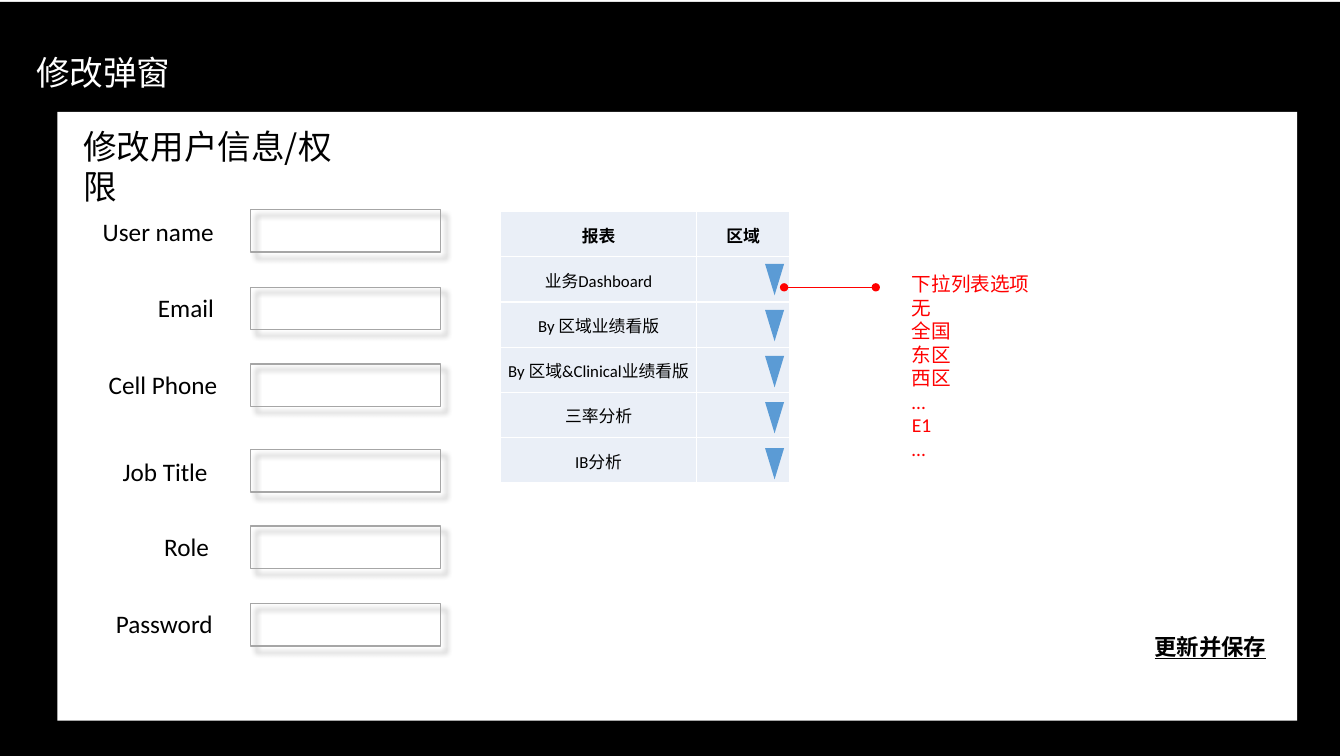
from lxml.etree import SubElement
from pptx import Presentation
from pptx.dml.color import RGBColor
from pptx.enum.shapes import MSO_CONNECTOR, MSO_SHAPE
from pptx.enum.text import MSO_ANCHOR, MSO_AUTO_SIZE, PP_ALIGN
from pptx.oxml.ns import qn
from pptx.util import Cm, Pt

COLORS = {
    "black": "000000", "white": "FFFFFF", "grey": "A6A6A6",
    "pale": "EAEFF7", "blue": "5B9BD5", "red": "FF0000",
}
LATIN, HAN = "Calibri", "Noto Sans CJK SC"

# label, left, top, width, top of its field
FIELDS = [
    ("User name", 2.34, 5.33, 3.35, 5.28),
    ("Email", 3.73, 7.24, 1.93, 7.24),
    ("Cell Phone", 2.49, 9.17, 3.28, 9.17),
    ("Job Title", 2.84, 11.38, 2.69, 11.33),
    ("Role", 3.89, 13.26, 1.65, 13.26),
    ("Password", 2.67, 15.21, 2.97, 15.21),
]
REPORTS = ["业务Dashboard", "By 区域业绩看版", "By 区域&Clinical业绩看版",
           "三率分析", "IB分析"]
OPTIONS = ["下拉列表选项", "无", "全国", "东区", "西区", "…", "E1", "…"]


def rgb(name):
    return RGBColor.from_string(COLORS[name])


def set_font(para, size, color="black", face=LATIN, bold=False):
    font = para.font
    font.size, font.name, font.bold = Pt(size), face, bold
    font.color.rgb = rgb(color)


def add_text(slide, box, lines, size, color="black", face=LATIN,
             strong=False, wrap=False):
    """Add a text box; strong means bold and underlined."""
    frame = slide.shapes.add_textbox(*map(Cm, box)).text_frame
    frame.word_wrap = wrap
    frame.auto_size = MSO_AUTO_SIZE.SHAPE_TO_FIT_TEXT
    frame.text = "\n".join(lines)
    for para in frame.paragraphs:
        set_font(para, size, color, face, strong)
        if strong:
            para.font.underline = True


def add_block(slide, box, color, kind=MSO_SHAPE.RECTANGLE):
    block = slide.shapes.add_shape(kind, *map(Cm, box))
    block.shadow.inherit = False
    block.line.fill.background()
    block.fill.solid()
    block.fill.fore_color.rgb = rgb(color)
    return block


def add_field(slide, top):
    """Add an empty input frame with a soft shadow."""
    field = slide.shapes.add_shape(
        MSO_SHAPE.RECTANGLE, Cm(6.32), Cm(top), Cm(4.78), Cm(1.07))
    field.fill.background()
    field.line.color.rgb = rgb("grey")
    field.line.width = Pt(1)
    field.shadow.inherit = False
    effects = field._element.spPr.find(qn("a:effectLst"))
    shadow = SubElement(effects, qn("a:outerShdw"), blurRad=str(Pt(4)),
                        dist=str(Pt(6)), dir="2700000", algn="tl",
                        rotWithShape="0")
    tint = SubElement(shadow, qn("a:srgbClr"), val=COLORS["black"])
    SubElement(tint, qn("a:alpha"), val="40000")


def add_edges(cell):
    """Draw white cell borders; call before the cell is filled."""
    props = cell._tc.get_or_add_tcPr()
    for side in ("lnL", "lnR", "lnT", "lnB"):
        edge = SubElement(props, qn("a:" + side), w=str(Pt(1)))
        fill = SubElement(edge, qn("a:solidFill"))
        SubElement(fill, qn("a:srgbClr"), val=COLORS["white"])


def add_grid(slide):
    rows = [("报表", "区域")] + [(name, "") for name in REPORTS]
    widths, height = (4.93, 2.36), 1.14
    table = slide.shapes.add_table(
        len(rows), len(widths), Cm(12.62), Cm(5.33),
        Cm(sum(widths)), Cm(height * len(rows))).table
    table.first_row = table.horz_banding = False
    for col, width in zip(table.columns, widths):
        col.width = Cm(width)
    for i, row in enumerate(rows):
        table.rows[i].height = Cm(height)
        for j, text in enumerate(row):
            cell = table.cell(i, j)
            add_edges(cell)
            cell.fill.solid()
            cell.fill.fore_color.rgb = rgb("pale")
            cell.margin_left = cell.margin_right = cell.margin_top = Cm(0.03)
            cell.margin_bottom = 0
            cell.vertical_anchor = MSO_ANCHOR.MIDDLE
            cell.text = text
            para = cell.text_frame.paragraphs[0]
            para.alignment = PP_ALIGN.CENTER
            set_font(para, 12, bold=i == 0)


def add_arrow(slide, top):
    """Add a drop-down mark."""
    mark = add_block(slide, (19.28, top, 0.48, 0.79), "blue",
                     MSO_SHAPE.ISOSCELES_TRIANGLE)
    mark.rotation = 180


def add_link(slide):
    """Join the first drop-down to its list of options."""
    link = slide.shapes.add_connector(
        MSO_CONNECTOR.STRAIGHT, Cm(22.07), Cm(7.24), Cm(19.76), Cm(7.24))
    link.line.color.rgb = rgb("red")
    link.line.width = Pt(0.5)
    for end in ("headEnd", "tailEnd"):
        SubElement(link.line._get_or_add_ln(), qn("a:" + end), type="oval")
    SubElement(link._element.spPr, qn("a:effectLst"))


def main():
    deck = Presentation()
    deck.slide_width, deck.slide_height = Cm(33.87), Cm(19.05)
    slide = deck.slides.add_slide(deck.slide_layouts[6])

    add_block(slide, (-0.1, 0.05, 33.87, 19.05), "black")
    add_text(slide, (0.66, 1.19, 3.94, 1.27), ["修改弹窗"], 24, "white", HAN)
    add_block(slide, (1.45, 2.82, 31.24, 15.34), "white")
    add_text(slide, (1.85, 3.05, 7.59, 1.27), ["修改用户信息/权限"], 24,
             face=HAN, wrap=True)
    for label, left, top, width, edge in FIELDS:
        add_field(slide, edge)
        add_text(slide, (left, top, width, 1.02), [label], 18)
    add_text(slide, (28.85, 15.82, 3.35, 0.94), ["更新并保存"], 16, strong=True)

    add_grid(slide)
    for i in range(len(REPORTS)):
        add_arrow(slide, 6.65 + 1.16 * i)
    add_link(slide)
    add_text(slide, (22.73, 6.73, 3.51, 5.05), OPTIONS, 14, "red")

    deck.save("out.pptx")


if __name__ == "__main__":
    main()
